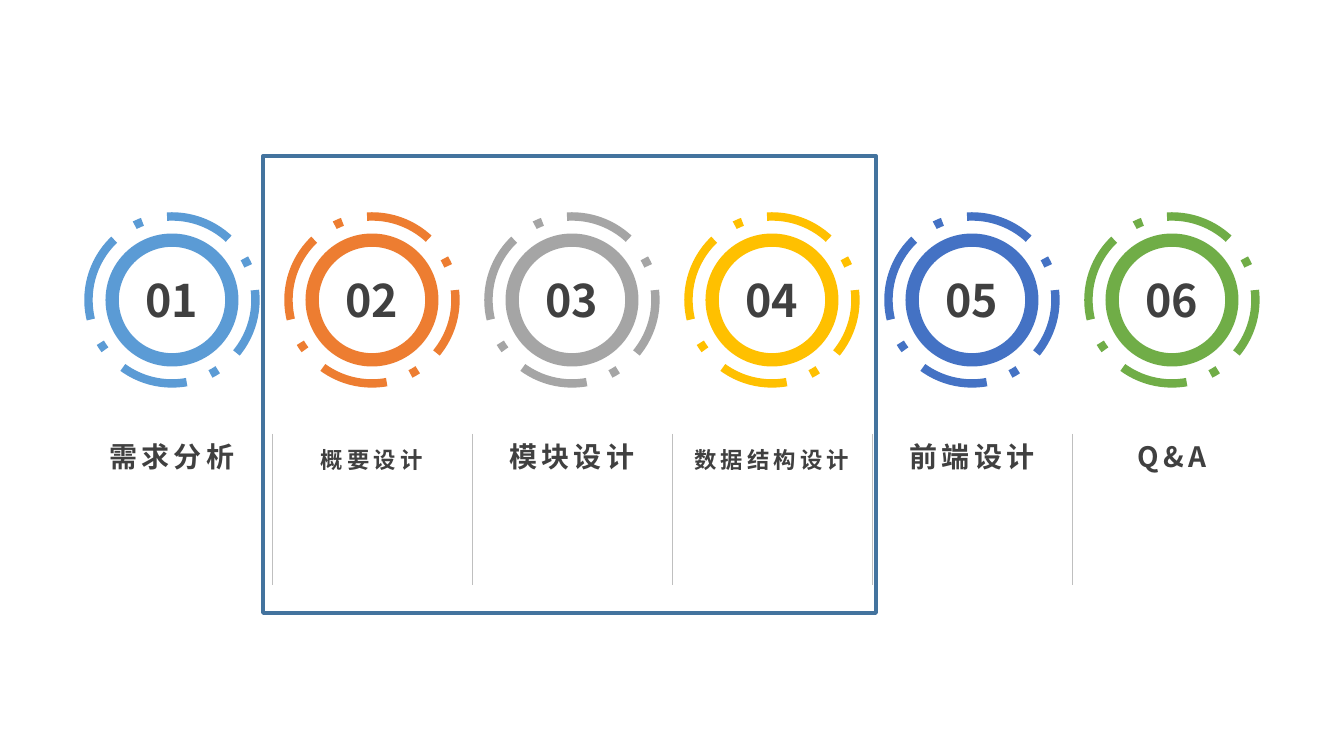
import pptx
import pptx.dml.color
import pptx.enum.dml
import pptx.enum.shapes
import pptx.enum.text
import pptx.oxml.ns
import pptx.util
from lxml import etree

RGB = pptx.dml.color.RGBColor
SHAPE = pptx.enum.shapes.MSO_SHAPE
ANCHOR = pptx.enum.text.MSO_ANCHOR
qn = pptx.oxml.ns.qn

INK = RGB(0x40, 0x40, 0x40)
RULE = RGB(0xBF, 0xBF, 0xBF)
FRAME = RGB(0x43, 0x73, 0x9E)
FONT = "Noto Sans CJK SC"

# Content: number, label, label size, line spacing, colour
STEPS = [
    ("01", "需求分析", 20, 1.1, RGB(0x5B, 0x9B, 0xD5)),
    ("02", "概要设计", 16, 1.3, RGB(0xED, 0x7D, 0x31)),
    ("03", "模块设计", 20, 1.1, RGB(0xA5, 0xA5, 0xA5)),
    ("04", "数据结构设计", 16, 1.3, RGB(0xFF, 0xC0, 0x00)),
    ("05", "前端设计", 20, 1.1, RGB(0x44, 0x72, 0xC4)),
    ("06", "Q&A", 20, 1.1, RGB(0x70, 0xAD, 0x47)),
]

# Layout in px
WIDE, HIGH = 1344, 756
FIRST, PITCH, MID = 172, 200, 300
DONUT, RING = 133, 167
LABEL = (197, 42)
LABEL_TOP = 431
RULE_TOP, RULE_END = 434, 585
BOX = (263, 156, 613, 457)


def px(n):
    return pptx.util.Emu(round(n * 914400 / 100.8))


def write(frame, text, size, space=None, track=0):
    para = frame.paragraphs[0]
    para.text = text
    para.alignment = pptx.enum.text.PP_ALIGN.CENTER
    para.line_spacing = space
    font = para.font
    font.name, font.size, font.bold = FONT, pptx.util.Pt(size), True
    font.color.rgb = INK
    props = para._p.pPr.find(qn("a:defRPr"))
    if track:
        props.set("spc", str(track * 100))
    east = etree.Element(qn("a:ea"), typeface=FONT)
    props.find(qn("a:latin")).addnext(east)


def draw(kind, left, top, wide, high, fill=None, line=None, width=0):
    shape = slide.shapes.add_shape(kind, px(left), px(top), px(wide), px(high))
    shape.shadow.inherit = False
    if fill is None:
        shape.fill.background()
    else:
        shape.fill.solid()
        shape.fill.fore_color.rgb = fill
    if line is None:
        shape.line.fill.background()
    else:
        shape.line.color.rgb = line
        shape.line.width = pptx.util.Pt(width)
    return shape


def circle(kind, mid, size, **style):
    return draw(kind, mid - size / 2, MID - size / 2, size, size, **style)


deck = pptx.Presentation()
deck.slide_width, deck.slide_height = px(WIDE), px(HIGH)
slide = deck.slides.add_slide(deck.slide_layouts[6])

for i, (number, label, size, space, color) in enumerate(STEPS):
    mid = FIRST + i * PITCH

    # Numbered donut and its dashed ring
    donut = circle(SHAPE.DONUT, mid, DONUT, fill=color)
    donut.adjustments[0] = 0.1
    donut.text_frame.vertical_anchor = ANCHOR.MIDDLE
    write(donut.text_frame, number, 32)
    ring = circle(SHAPE.OVAL, mid, RING, line=color, width=6)
    ring.line.dash_style = pptx.enum.dml.MSO_LINE.LONG_DASH_DOT

    # Label
    wide, high = LABEL
    area = slide.shapes.add_textbox(
        px(mid - wide / 2), px(LABEL_TOP), px(wide), px(high))
    frame = area.text_frame
    frame.word_wrap = True
    frame.vertical_anchor = ANCHOR.BOTTOM
    frame.margin_bottom = 0
    write(frame, label, size, space, track=3)

    # Rule between neighbours
    if i < len(STEPS) - 1:
        x = px(mid + PITCH / 2)
        rule = slide.shapes.add_connector(
            pptx.enum.shapes.MSO_CONNECTOR.STRAIGHT,
            x, px(RULE_TOP), x, px(RULE_END))
        rule.line.color.rgb = RULE
        rule.line.width = pptx.util.Pt(0.25)
        etree.SubElement(rule._element.spPr, qn("a:effectLst"))

# Frame around the design steps
draw(SHAPE.RECTANGLE, *BOX, line=FRAME, width=2.75)

deck.save("out.pptx")
